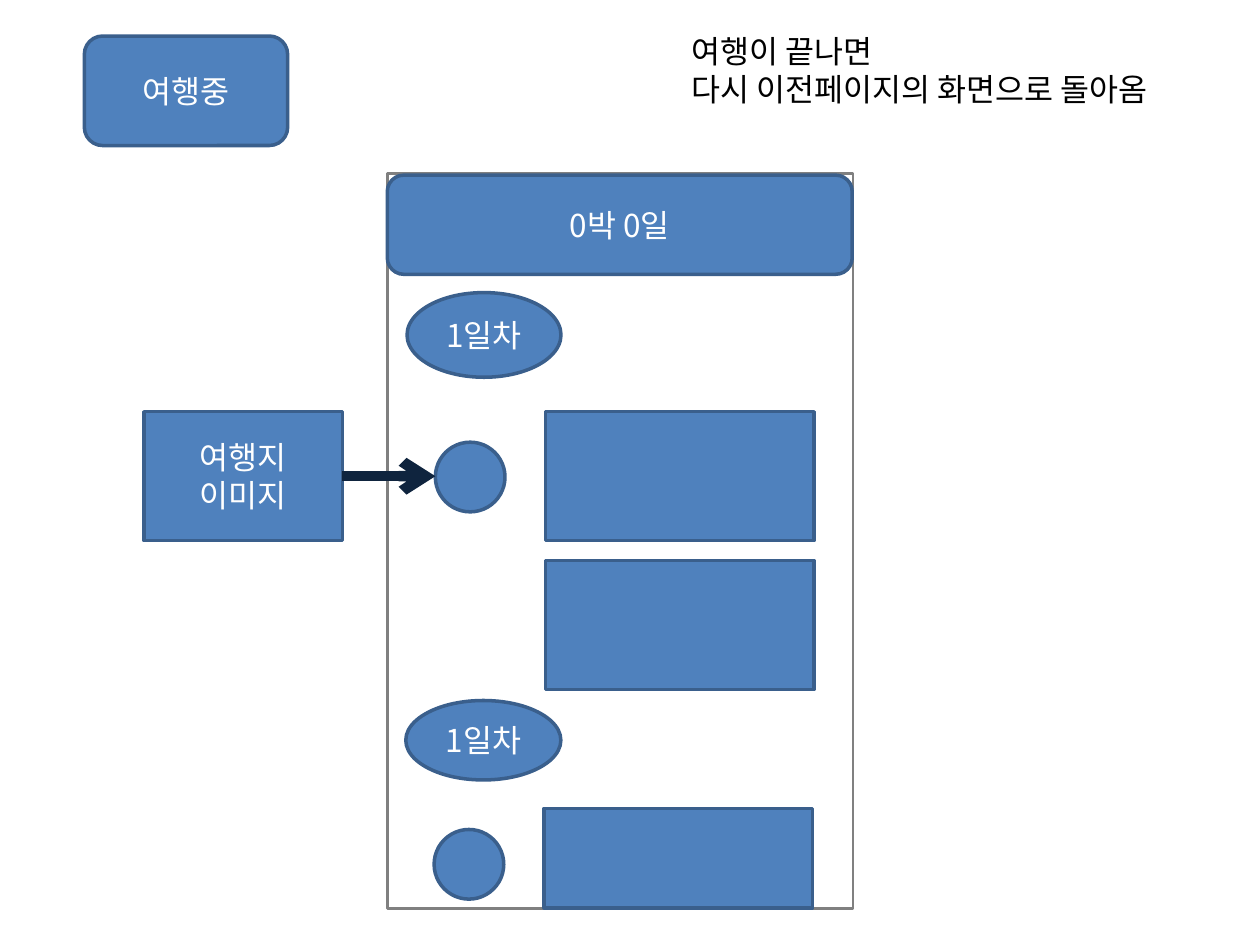
from dataclasses import dataclass

from lxml import etree
from pptx import Presentation
from pptx.dml.color import RGBColor
from pptx.enum import shapes, text
from pptx.oxml.ns import qn
from pptx.util import Pt


@dataclass(frozen=True)
class Theme:
    font: str = "Noto Sans CJK KR"
    size: int = 18
    fill: str = "4F81BD"
    outline: str = "3A5F8C"
    outline_width: float = 2
    paper: str = "FFFFFF"
    frame: str = "808080"
    frame_width: float = 1.5
    arrow: str = "0F243E"
    arrow_width: float = 6
    on_fill: str = "FFFFFF"
    ink: str = "000000"


THEME = Theme()
RECT = shapes.MSO_SHAPE.RECTANGLE
ROUNDED = shapes.MSO_SHAPE.ROUNDED_RECTANGLE
OVAL = shapes.MSO_SHAPE.OVAL


def rgb(value):
    return RGBColor.from_string(value)


def write(frame, words, color, align):
    frame.text = words
    for paragraph in frame.paragraphs:
        paragraph.alignment = align
        for run in paragraph.runs:
            run.font.size = Pt(THEME.size)
            run.font.name = THEME.font
            run.font.color.rgb = rgb(color)
            east_asian = etree.SubElement(run.font._element, qn("a:ea"))
            east_asian.set("typeface", THEME.font)


def add_block(slide, kind, box, words="", fill=THEME.fill,
              outline=THEME.outline, width=THEME.outline_width):
    block = slide.shapes.add_shape(kind, *map(Pt, box))
    block.shadow.inherit = False
    block.fill.solid()
    block.fill.fore_color.rgb = rgb(fill)
    block.line.color.rgb = rgb(outline)
    block.line.width = Pt(width)
    if words:
        block.text_frame.word_wrap = True
        block.text_frame.vertical_anchor = text.MSO_ANCHOR.MIDDLE
        write(block.text_frame, words, THEME.on_fill, text.PP_ALIGN.CENTER)
    return block


def add_arrow(slide, source, x, y):
    arrow = slide.shapes.add_connector(
        shapes.MSO_CONNECTOR.STRAIGHT, source.left + source.width, Pt(y), Pt(x), Pt(y))
    arrow.begin_connect(source, 3)
    arrow.line.color.rgb = rgb(THEME.arrow)
    arrow.line.width = Pt(THEME.arrow_width)
    etree.SubElement(arrow.line._get_or_add_ln(), qn("a:tailEnd")).set("type", "arrow")
    etree.SubElement(arrow._element.spPr, qn("a:effectLst"))


def add_note(slide, box, words):
    note = slide.shapes.add_textbox(*map(Pt, box))
    note.text_frame.word_wrap = False
    note.text_frame.auto_size = text.MSO_AUTO_SIZE.SHAPE_TO_FIT_TEXT
    write(note.text_frame, words, THEME.ink, text.PP_ALIGN.LEFT)


def main():
    deck = Presentation()
    deck.slide_width, deck.slide_height = Pt(720), Pt(540)
    slide = deck.slides.add_slide(deck.slide_layouts[6])

    add_block(slide, RECT, (221.3, 99.2, 266.2, 419.8),
              fill=THEME.paper, outline=THEME.frame, width=THEME.frame_width)
    add_block(slide, ROUNDED, (48.2, 20.6, 116.2, 62.6), "여행중")
    add_block(slide, ROUNDED, (221.3, 100.1, 265.7, 56.7), "0박 0일")

    for day_box in ((232.6, 167.2, 88, 48.4), (231.9, 400.3, 88.6, 45.4)):
        add_block(slide, OVAL, day_box, "1일차")

    for left, top, height in ((311.8, 235.3, 73.7), (311.8, 320.3, 73.7), (311, 461.9, 56.9)):
        add_block(slide, RECT, (left, top, 153.4, height))

    stop_size = 39.8
    for left, top in ((248.8, 252.7), (248.1, 474)):
        add_block(slide, OVAL, (left, top, stop_size, stop_size))

    place_image = add_block(slide, RECT, (82.3, 235.3, 113.4, 73.7), "여행지 이미지")
    add_arrow(slide, place_image, 248.8, 272.15)

    add_note(slide, (388, 15, 306.7, 50.9), "여행이 끝나면\n다시 이전페이지의 화면으로 돌아옴")
    deck.save("out.pptx")


if __name__ == "__main__":
    main()
